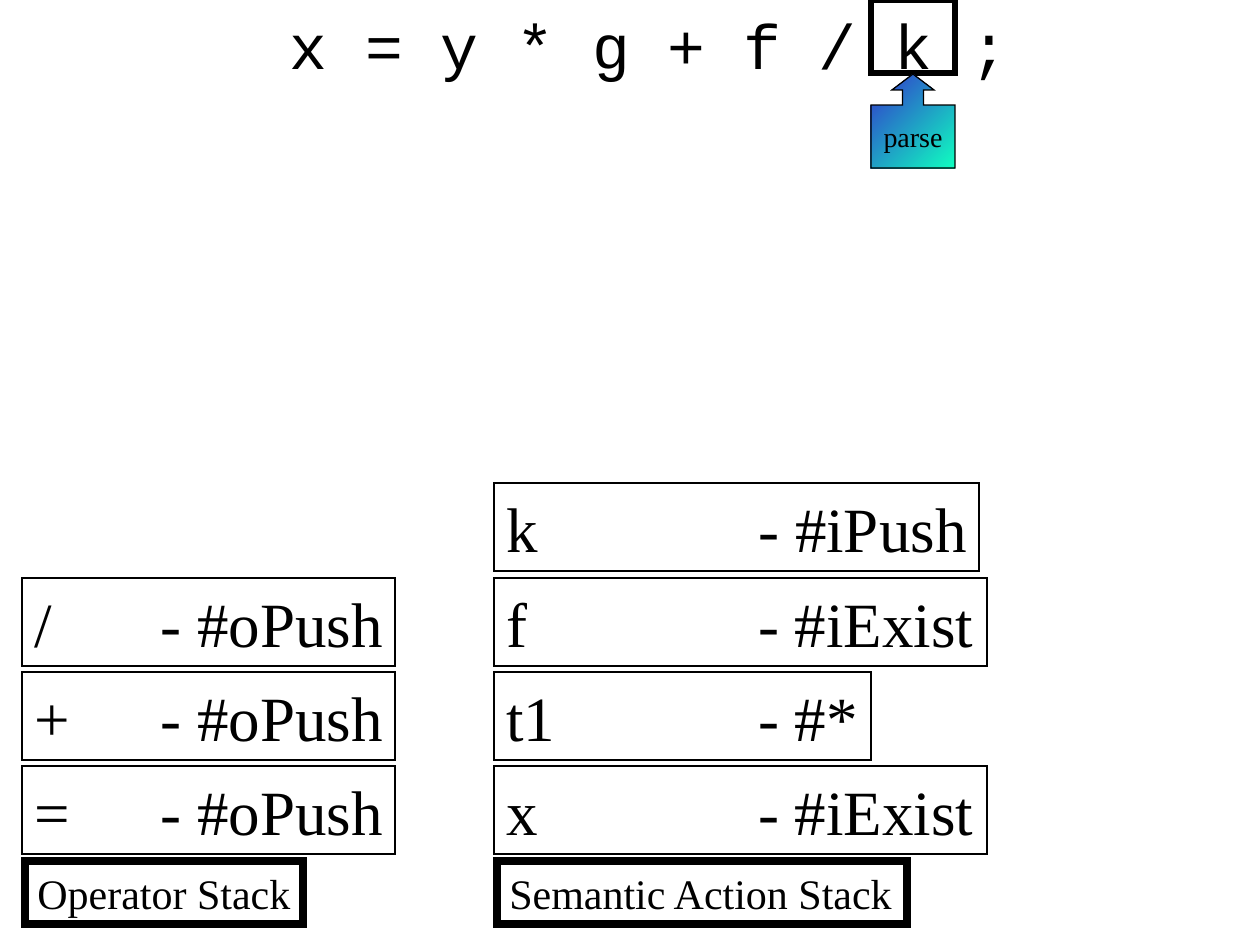
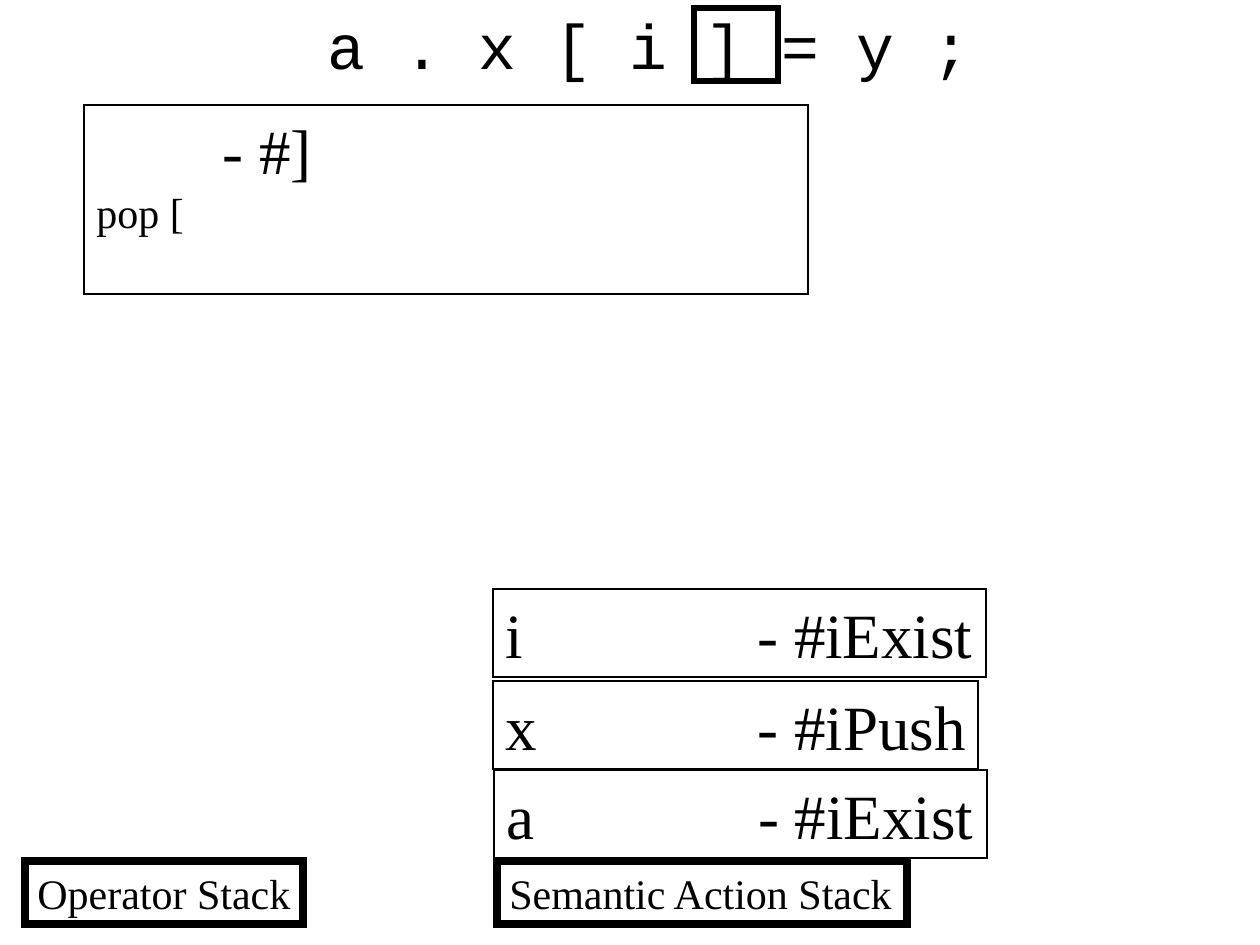
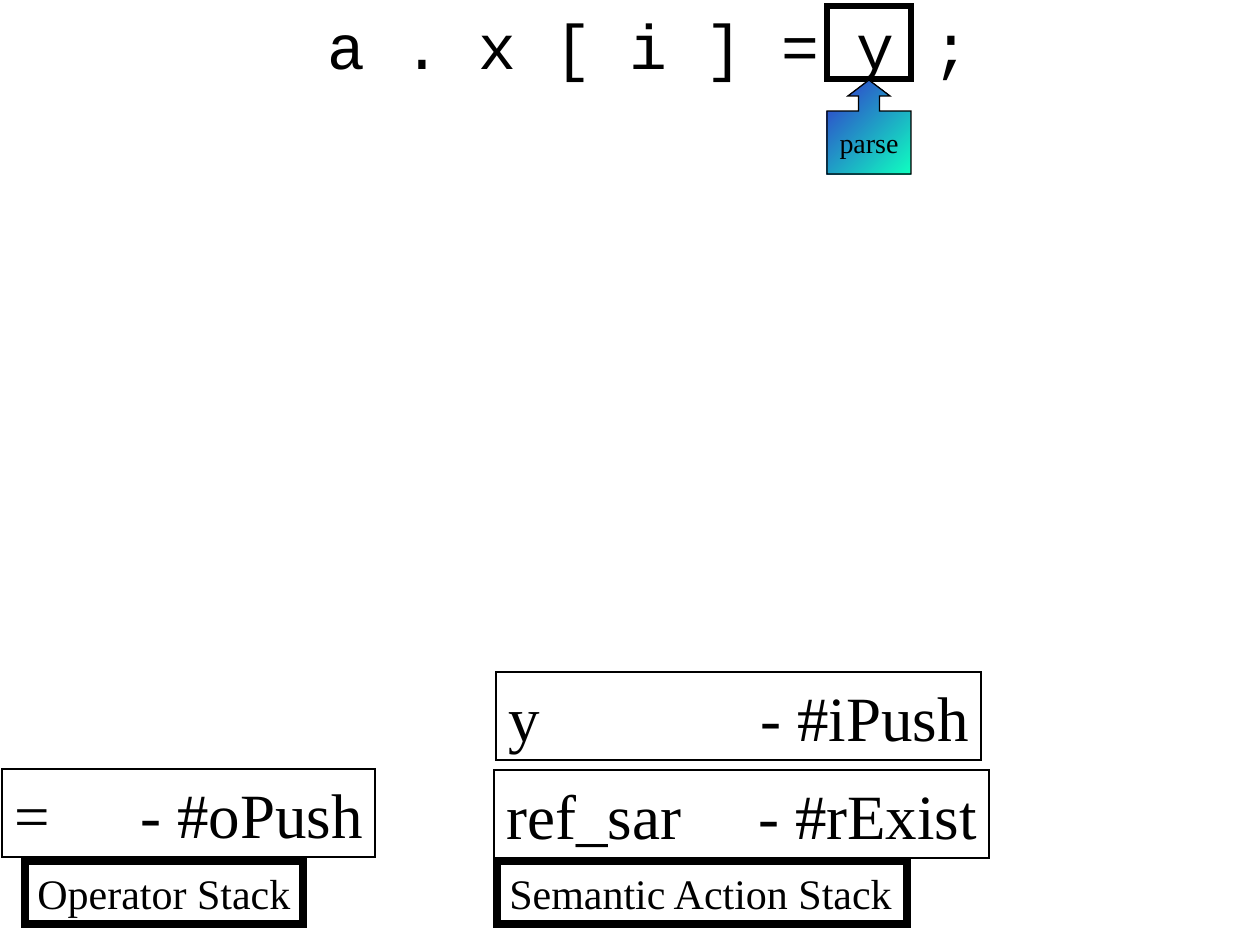
from lxml import etree
from pptx import Presentation
from pptx.dml.color import RGBColor
from pptx.enum.shapes import MSO_SHAPE
from pptx.enum.text import MSO_ANCHOR, MSO_AUTO_SIZE, PP_ALIGN
from pptx.oxml.ns import qn
from pptx.util import Pt

RECTANGLE = MSO_SHAPE.RECTANGLE
CALLOUT = MSO_SHAPE.UP_ARROW_CALLOUT
TOP, MIDDLE = MSO_ANCHOR.TOP, MSO_ANCHOR.MIDDLE
LEFT, CENTER = PP_ALIGN.LEFT, PP_ALIGN.CENTER
GROW, FIXED = MSO_AUTO_SIZE.SHAPE_TO_FIT_TEXT, MSO_AUTO_SIZE.NONE

PX_PER_INCH = 126
COLORS = {"ink": "000000", "blue": "3333CC", "aqua": "0FFFC0"}
SERIF, MONO = "Times New Roman", "Courier New"
ROW_HEIGHT = 88
ROW_WIDTHS = {"#iExist": 493, "#iPush": 485, "#rExist": 495, "#oPush": 373, "#*": 377}
MARK_WIDTH, MARK_HEIGHT, CALLOUT_HEIGHT = 84, 73, 94


def px(length):
    return round(length * 914400 / PX_PER_INCH)


def color(name):
    return RGBColor.from_string(COLORS[name])


def add_tabs(para):
    tabs = etree.SubElement(para._p.get_or_add_pPr(), qn("a:tabLst"))
    for inch in range(1, 8):
        etree.SubElement(tabs, qn("a:tab"), pos=str(px(inch * PX_PER_INCH)), algn="l")


def write(box, lines, font=SERIF, align=LEFT, anchor=TOP, wrap=False, fit=GROW):
    frame = box.text_frame
    frame.word_wrap = wrap
    frame.auto_size = fit
    frame.vertical_anchor = anchor
    for index, (text, size) in enumerate(lines):
        para = frame.add_paragraph() if index else frame.paragraphs[0]
        para.alignment = align
        add_tabs(para)
        span = para.add_run()
        span.text = text
        span.font.name = font
        span.font.size = Pt(size)
        span.font.color.rgb = color("ink")


def add_outline(shapes, kind, left, top, width, height, weight):
    box = shapes.add_shape(kind, px(left), px(top), px(width), px(height))
    box.shadow.inherit = False
    box.fill.background()
    box.line.color.rgb = color("ink")
    box.line.width = Pt(weight)
    etree.SubElement(box.element.spPr.find(qn("a:ln")), qn("a:miter"), lim="800000")
    return box


def add_stack_label(page, text, left, width):
    box = add_outline(page.shapes, RECTANGLE, left, 861, width, 63, 4.5)
    write(box, [(text, 24)])


def add_stack_row(page, symbol, action, left, top):
    box = add_outline(page.shapes, RECTANGLE, left, top, ROW_WIDTHS[action], ROW_HEIGHT, 1)
    box.text_frame.margin_right = px(4)
    short = action == "#oPush" or len(symbol) > 2
    gap = "\t" if short else "\t\t"
    write(box, [(f"{symbol}{gap}- {action}", 36)])


def add_token_mark(shapes, left, top):
    add_outline(shapes, RECTANGLE, left, top, MARK_WIDTH, MARK_HEIGHT, 3)


def add_parse_mark(page, left, top):
    group = page.shapes.add_group_shape()
    add_token_mark(group.shapes, left, top)
    callout = add_outline(group.shapes, CALLOUT, left, top + MARK_HEIGHT + 1,
                          MARK_WIDTH, CALLOUT_HEIGHT, 0.75)
    for index, value in enumerate((0.25, 0.25, 0.19, 0.67)):
        callout.adjustments[index] = value
    callout.fill.gradient()
    callout.fill.gradient_angle = 315
    for stop, name in zip(callout.fill.gradient_stops, ("blue", "aqua")):
        stop.color.rgb = color(name)
    write(callout, [("parse", 16)], align=CENTER, anchor=MIDDLE, fit=FIXED)


def add_page(deck, expression):
    page = deck.slides.add_slide(deck.slide_layouts[5])
    title = page.shapes.title
    title.left, title.top = px(0), px(0)
    title.width, title.height = deck.slide_width, px(ROW_HEIGHT)
    write(title, [(expression, 36)], font=MONO, align=CENTER, wrap=True)
    add_stack_label(page, "Operator Stack", 25, 278)
    add_stack_label(page, "Semantic Action Stack", 497, 410)
    return page


def add_arithmetic_page(deck):
    page = add_page(deck, " x = y * g + f / k ;")
    stacks = {
        22: [("=", "#oPush"), ("+", "#oPush"), ("/", "#oPush")],
        494: [("x", "#iExist"), ("t1", "#*"), ("f", "#iExist"), ("k", "#iPush")],
    }
    for left, rows in stacks.items():
        for level, (symbol, action) in enumerate(rows):
            add_stack_row(page, symbol, action, left, round(766.5 - 94.5 * level))
    add_parse_mark(page, 871, 0)


def add_bracket_page(deck):
    page = add_page(deck, " a . x [ i ] = y ;")
    add_stack_row(page, "a", "#iExist", 494, 770)
    add_token_mark(page.shapes, 694, 8)
    add_stack_row(page, "x", "#iPush", 493, 681)
    add_stack_row(page, "i", "#iExist", 493, 589)
    action_box = add_outline(page.shapes, RECTANGLE, 84, 105, 724, 189, 1)
    write(action_box, [("\t- #]", 36), ("pop [", 24)], wrap=True, fit=FIXED)


def add_assignment_page(deck):
    page = add_page(deck, " a . x [ i ] = y ;")
    add_stack_row(page, "ref_sar", "#rExist", 494, 770)
    add_parse_mark(page, 827, 6)
    add_stack_row(page, "=", "#oPush", 2, 769)
    add_stack_row(page, "y", "#iPush", 496, 672)


def main():
    deck = Presentation()
    deck.slide_width, deck.slide_height = px(1260), px(945)
    add_arithmetic_page(deck)
    add_bracket_page(deck)
    add_assignment_page(deck)
    deck.save("out.pptx")


if __name__ == "__main__":
    main()
